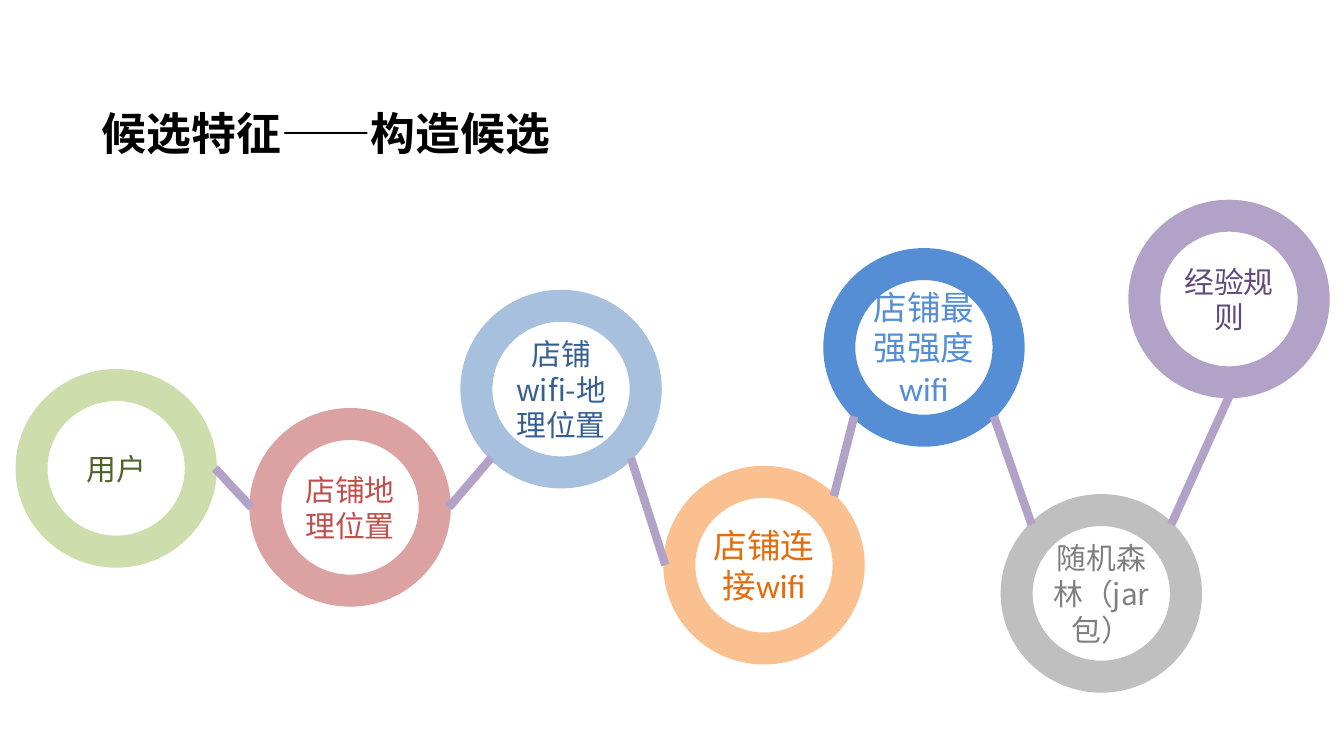
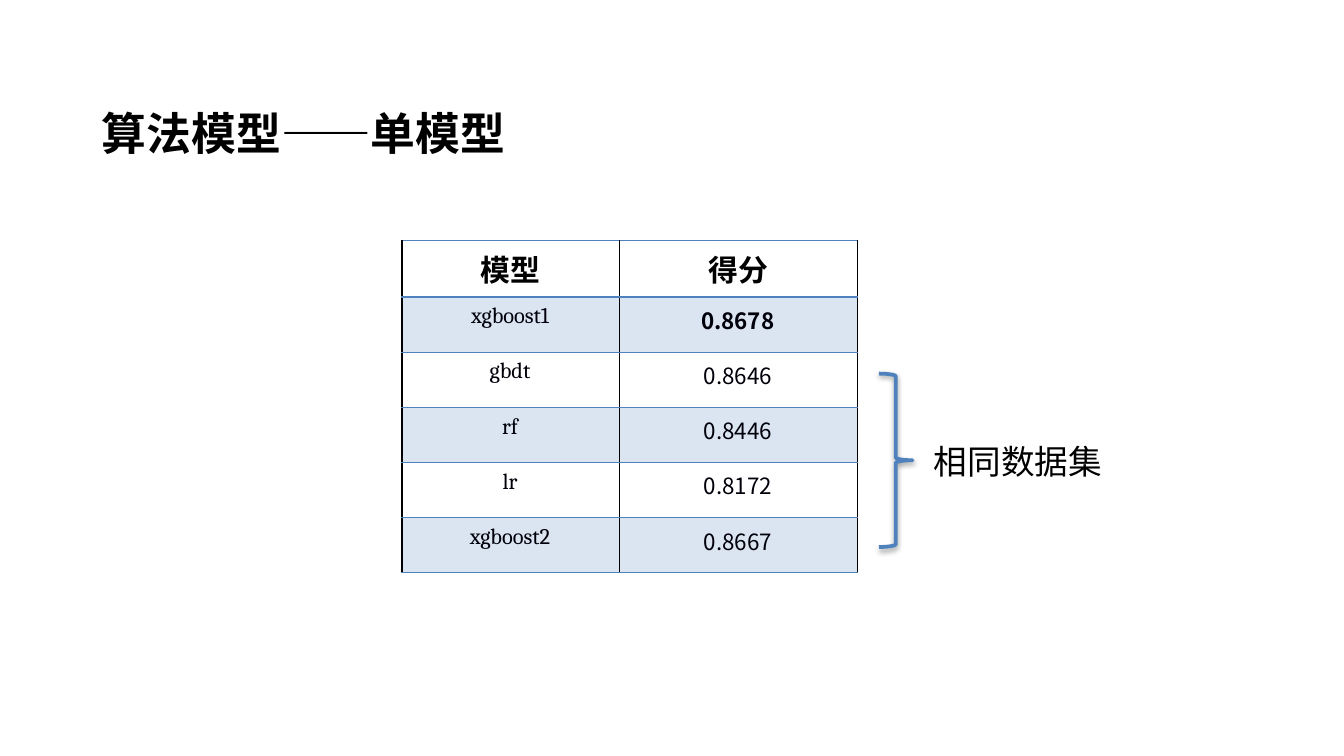
import math
from lxml import etree
from pptx import Presentation
from pptx import util as u
from pptx.dml import color
from pptx.enum import shapes, text
from pptx.oxml import ns

WIDE = 10
HIGH = WIDE * 9 / 16
SANS, LATIN, SERIF = "Noto Sans CJK SC", "Calibri", "Cambria"
BLACK, INK, BLUE, LILAC = "000000", "00000A", "4F81BD", "B3A2C7"
RING = (1.47, 1.45)

deck = Presentation()
deck.slide_width, deck.slide_height = u.Inches(WIDE), u.Inches(HIGH)


def rgb(code):
    return color.RGBColor.from_string(code)


def inch(*nums):
    return [u.Inches(n) for n in nums]


def sub(node, tag, **keys):
    return etree.SubElement(node, ns.qn(tag), {k: str(v) for k, v in keys.items()})


def write(frame, words, size, font, ink, bold=False, mid=True):
    para = frame.paragraphs[0]
    para.alignment = text.PP_ALIGN.CENTER if mid else text.PP_ALIGN.LEFT
    run = para.add_run()
    run.text = words
    run.font.size, run.font.name, run.font.bold = u.Pt(size), font, bold
    run.font.color.rgb = rgb(ink)
    sub(run._r.get_or_add_rPr(), "a:ea", typeface=SANS)


def stroke(item, ink, width):
    item.line.color.rgb = rgb(ink)
    item.line.width = u.Pt(width)


def label(page, box, words, size, font, bold=False):
    frame = page.shapes.add_textbox(*inch(*box)).text_frame
    frame.word_wrap = True
    write(frame, words, size, font, BLACK, bold, mid=False)


def start(title):
    page = deck.slides.add_slide(deck.slide_layouts[6])
    label(page, (0.66, 0.74, 7.26, 0.5), title, 24, SANS, True)
    return page


def ring(page, box, words, size, font, fill, ink):
    item = page.shapes.add_shape(shapes.MSO_SHAPE.DONUT, *inch(*box))
    item.adjustments[0] = 0.145
    item.shadow.inherit = False
    item.fill.solid()
    item.fill.fore_color.rgb = rgb(fill)
    stroke(item, fill, 2)
    frame = item.text_frame
    frame.word_wrap = True
    frame.vertical_anchor = text.MSO_ANCHOR.MIDDLE
    write(frame, words, size, font, ink)


def rim(box, turn):
    x, y, w, h = box
    a = math.radians(turn)
    return x + w / 2 * (1 + math.cos(a)), y + h / 2 * (1 + math.sin(a))


def link(page, head, tail):
    item = page.shapes.add_connector(
        shapes.MSO_CONNECTOR.STRAIGHT, *inch(*head, *tail))
    stroke(item, LILAC, 4.51)
    sub(item._element.spPr, "a:effectLst")


def chain(page, rings, turns):
    boxes = [(x, y, *RING) for x, y, *rest in rings]
    for box, (x, y, *rest) in zip(boxes, rings):
        ring(page, box, *rest)
    for one, two, (out, into) in zip(boxes, boxes[1:], turns):
        link(page, rim(one, out), rim(two, into))


def edge(cell, side, ink, width):
    line = sub(cell._tc.get_or_add_tcPr(), "a:ln" + side, w=u.Pt(width))
    sub(sub(line, "a:solidFill"), "a:srgbClr", val=ink)


def paint(cell, band):
    if not band:
        cell.fill.background()
        return
    cell.fill.solid()
    cell.fill.fore_color.rgb = rgb(BLUE)
    tint = cell._tc.tcPr.find(ns.qn("a:solidFill"))
    sub(tint[0], "a:alpha", val=20000)


def scores(page, box, cols, head, rows):
    top = 0.42
    step = (box[3] - top) / len(rows)
    grid = page.shapes.add_table(len(rows) + 1, len(cols), *inch(*box)).table
    grid.first_row = grid.horz_banding = False
    for col, wide in zip(grid.columns, cols):
        col.width = u.Inches(wide)
    last = len(rows)
    for r, row in enumerate([head] + rows):
        grid.rows[r].height = u.Inches(step if r else top)
        for c, words in enumerate(row):
            cell = grid.cell(r, c)
            side = (0.03, 0.04) if r else (0.12, 0.12)
            cell.margin_left, cell.margin_right = inch(*side)
            edge(cell, "L", BLACK, 0.5 if c else 1)
            edge(cell, "R", BLACK, 1 if c else 0.5)
            edge(cell, "T", BLUE, 0.96 if r < 2 else 0.5)
            edge(cell, "B", BLUE, 0.96 if r in (0, last) else 0.5)
            paint(cell, r % 2)
            if r:
                write(cell.text_frame, words, 12, SANS if c else SERIF,
                      INK, r == 1 and c == 1)
            else:
                write(cell.text_frame, words, 16, SANS, BLACK, True)


def brace(page, box, words):
    x, y, w, h = box
    item = page.shapes.add_shape(shapes.MSO_SHAPE.RIGHT_BRACE, *inch(*box))
    item.adjustments[0], item.adjustments[1] = 0.083, 0.5
    item.fill.background()
    stroke(item, BLUE, 2)
    item.shadow.inherit = False
    glow = item._element.spPr.find(ns.qn("a:effectLst"))
    cast = sub(glow, "a:outerShdw", blurRad=u.Pt(3.1), dist=u.Pt(1.6),
               dir=5400000, rotWithShape=0)
    sub(sub(cast, "a:srgbClr", val=BLACK), "a:alpha", val=38000)
    label(page, (x + w + 0.06, y + h / 2 - 0.19, 2.02, 0.4), words, 18, LATIN)


page = start("候选特征——构造候选")
chain(page, [
    (0.13, 2.76, "用户", 16, SANS, "CDDDAC", "4F6228"),
    (1.87, 3.05, "店铺地理位置", 16, SANS, "DCA2A1", "C0504D"),
    (3.44, 2.17, "店铺wifi-地理位置", 16, SANS, "A7C0DE", "376092"),
    (4.95, 3.48, "店铺连接wifi", 18, LATIN, "FAC090", "E46C0A"),
    (6.14, 1.86, "店铺最强强度wifi", 18, LATIN, "558ED5", "558ED5"),
    (7.46, 3.69, "随机森林（jar包）", 16, SANS, "BFBFBF", "808080"),
    (8.41, 1.5, "经验规则", 16, SANS, LILAC, "604A7B"),
], [(0, 180), (0, 135), (45, 180), (315, 135), (45, 225), (315, 90)])

page = start("算法模型——单模型")
scores(page, (2.99, 1.79, 3.39, 2.47), (1.62, 1.77), ("模型", "得分"), [
    ("xgboost1", "0.8678"),
    ("gbdt", "0.8646"),
    ("rf", "0.8446"),
    ("lr", "0.8172"),
    ("xgboost2", "0.8667"),
])
brace(page, (6.54, 2.78, 0.25, 1.29), "相同数据集")

deck.save("out.pptx")
